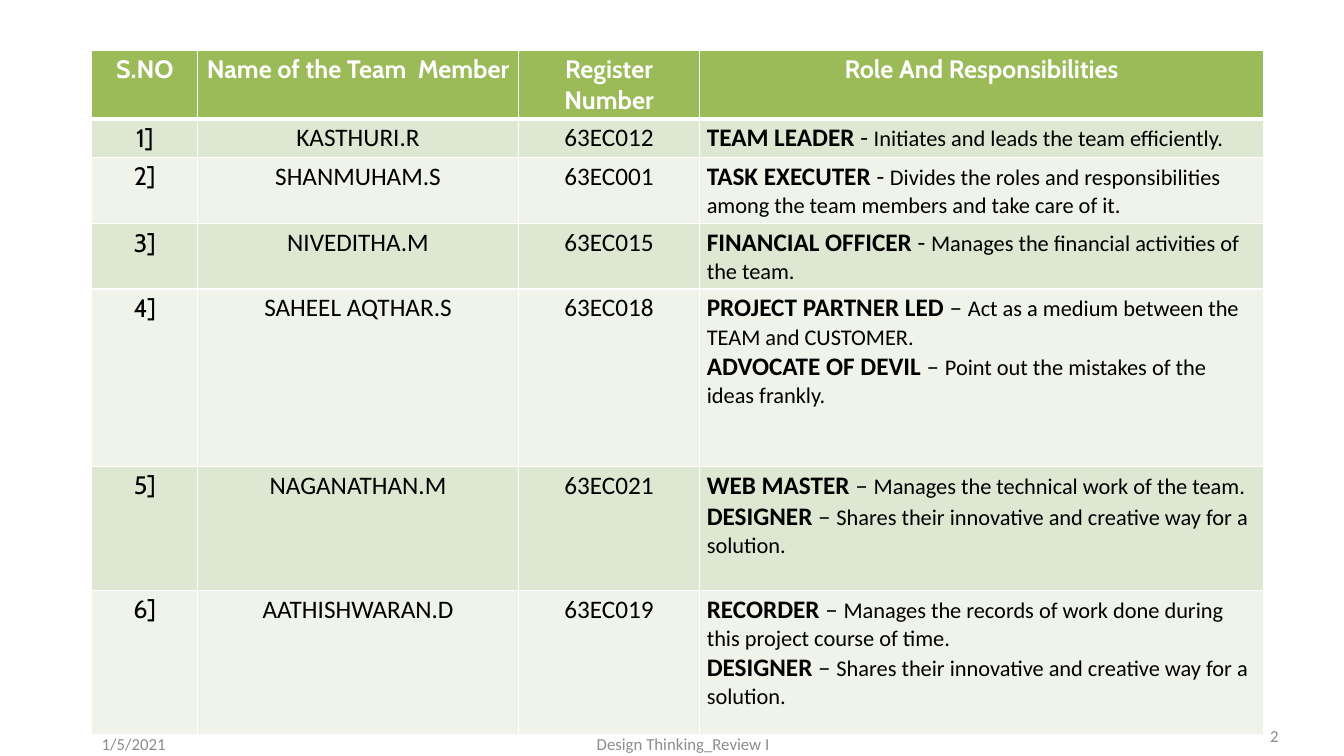
from lxml import etree
from pptx import Presentation
from pptx.dml.color import RGBColor
from pptx.enum.text import MSO_ANCHOR, PP_ALIGN
from pptx.oxml.ns import qn
from pptx.util import Inches, Pt

LEFT, MID, RIGHT = PP_ALIGN.LEFT, PP_ALIGN.CENTER, PP_ALIGN.RIGHT
CENTRE = MSO_ANCHOR.MIDDLE

INK = {"head": "9BBB59", "odd": "DEE7D1", "even": "EFF3EA",
       "white": "FFFFFF", "black": "000000", "grey": "8C8C8C", "page": "898989"}

FORMS = {
    "head": {"name": "Cabin", "size": Pt(18), "bold": True},
    "mark": {"name": "Cabin", "size": Pt(18), "bold": False},
    "body": {"name": "Calibri", "size": Pt(18), "bold": False},
    "role": {"name": "Calibri", "size": Pt(18), "bold": True},
    "duty": {"name": "Calibri", "size": Pt(16), "bold": False},
    "foot": {"name": "Calibri", "size": Pt(12), "bold": False},
}
PAD = {"margin_left": Inches(0.07), "margin_right": Inches(0.07),
       "margin_top": Inches(0.04), "margin_bottom": Inches(0.04)}


class Deck:
    """Holds the style and the current slide; lengths are percent of its size."""

    def __init__(self, wide, high):
        self.file = Presentation()
        self.file.slide_width, self.file.slide_height = Inches(wide), Inches(high)
        self.slide = self.file.slides.add_slide(self.file.slide_layouts[6])

    def wide(self, share):
        return round(self.file.slide_width * share / 100)

    def high(self, share):
        return round(self.file.slide_height * share / 100)

    def box(self, x, y, w, h):
        return self.wide(x), self.high(y), self.wide(w), self.high(h)

    def text(self, frame, lines, ink, align):
        """Each line is a list of (text, form) pairs."""
        for i, line in enumerate(lines):
            para = frame.add_paragraph() if i else frame.paragraphs[0]
            para.alignment = align
            for words, form in line:
                run = para.add_run()
                run.text = words
                for key, value in FORMS[form].items():
                    setattr(run.font, key, value)
                run.font.color.rgb = RGBColor.from_string(INK[ink])

    def label(self, place, words, ink, align):
        frame = self.slide.shapes.add_textbox(*self.box(*place)).text_frame
        frame.word_wrap = True
        frame.vertical_anchor = CENTRE
        self.text(frame, [[(words, "foot")]], ink, align)

    def edge(self, cell, side, width):
        props = cell._tc.get_or_add_tcPr()
        line = etree.SubElement(props, qn(f"a:ln{side}"), w=str(Pt(width)))
        fill = etree.SubElement(line, qn("a:solidFill"))
        etree.SubElement(fill, qn("a:srgbClr"), val=INK["white"])

    def cell(self, cell, lines, fill, ink, align, top, base):
        for key, value in PAD.items():
            setattr(cell, key, value)
        for side, width in (("L", 1), ("R", 1), ("T", top), ("B", base)):
            self.edge(cell, side, width)
        cell.fill.solid()
        cell.fill.fore_color.rgb = RGBColor.from_string(INK[fill])
        self.text(cell.text_frame, lines, ink, align)

    def table(self, x, y, cols, rows):
        place = self.box(x, y, sum(cols), sum(rows))
        table = self.slide.shapes.add_table(len(rows), len(cols), *place).table
        for col, share in zip(table.columns, cols):
            col.width = self.wide(share)
        for row, share in zip(table.rows, rows):
            row.height = self.high(share)
        return table


HEADS = ["S.NO", "Name of the Team  Member", "Register Number", "Role And Responsibilities"]
DESIGN = ("DESIGNER", "–", "Shares their innovative and creative way for a solution.")
TEAM = [
    ("KASTHURI.R", "63EC012",
     [("TEAM LEADER", "-", "Initiates and leads the team efficiently.")]),
    ("SHANMUHAM.S", "63EC001",
     [("TASK EXECUTER", "-", "Divides the roles and responsibilities among the team "
       "members and take care of it.")]),
    ("NIVEDITHA.M", "63EC015",
     [("FINANCIAL OFFICER", "-", "Manages the financial activities of the team.")]),
    ("SAHEEL AQTHAR.S", "63EC018",
     [("PROJECT PARTNER LED", "–", "Act as a medium between the TEAM and CUSTOMER."),
      ("ADVOCATE OF DEVIL", "–", "Point out the mistakes of the ideas frankly.")]),
    ("NAGANATHAN.M", "63EC021",
     [("WEB MASTER", "–", "Manages the technical work of the team."), DESIGN]),
    ("AATHISHWARAN.D", "63EC019",
     [("RECORDER", "–", "Manages the records of work done during this project "
       "course of time."), DESIGN]),
]
COLS = [7.88, 23.86, 13.5, 41.93]
ROWS = [8.8, 4.8, 8.8, 8.27, 23.5, 16.4, 19.07]


def main():
    deck = Deck(13.33, 7.5)

    # Footer and page number, behind the table
    deck.label((35, 95.73, 31.66, 5.33), "Design Thinking_Review I", "grey", MID)
    deck.label((72.54, 94.67, 23.33, 5.33), "2", "page", RIGHT)

    # Team table: header row
    table = deck.table(6.83, 6.67, COLS, ROWS)
    for c, head in enumerate(HEADS):
        deck.cell(table.cell(0, c), [[(head, "head")]], "head", "white", MID, 1, 3)

    # Team table: one banded row for each member
    for r, (name, code, roles) in enumerate(TEAM, 1):
        duties = [[(f"{role} ", "role"), (f"{dash} ", "body"), (duty, "duty")]
                  for role, dash, duty in roles]
        texts = [[[(f"{r}]", "mark")]], [[(name, "body")]], [[(code, "body")]], duties]
        for c, lines in enumerate(texts):
            deck.cell(table.cell(r, c), lines, "odd" if r % 2 else "even", "black",
                      LEFT if c == 3 else MID, 3 if r == 1 else 1, 1)

    # Date, in front of the table
    deck.label((6.83, 95.73, 23.33, 5.33), "1/5/2021", "grey", LEFT)

    deck.file.save("out.pptx")


if __name__ == "__main__":
    main()
